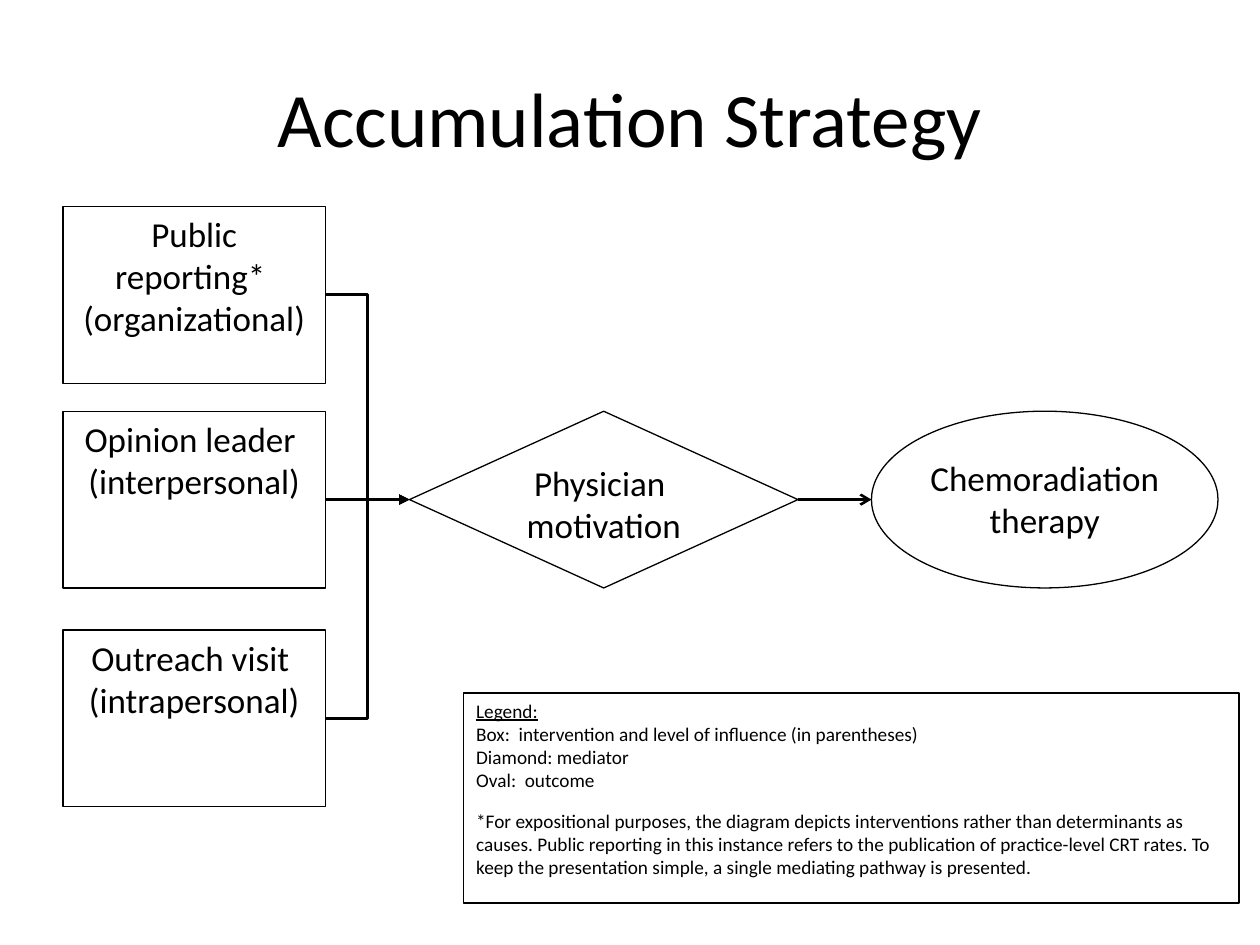
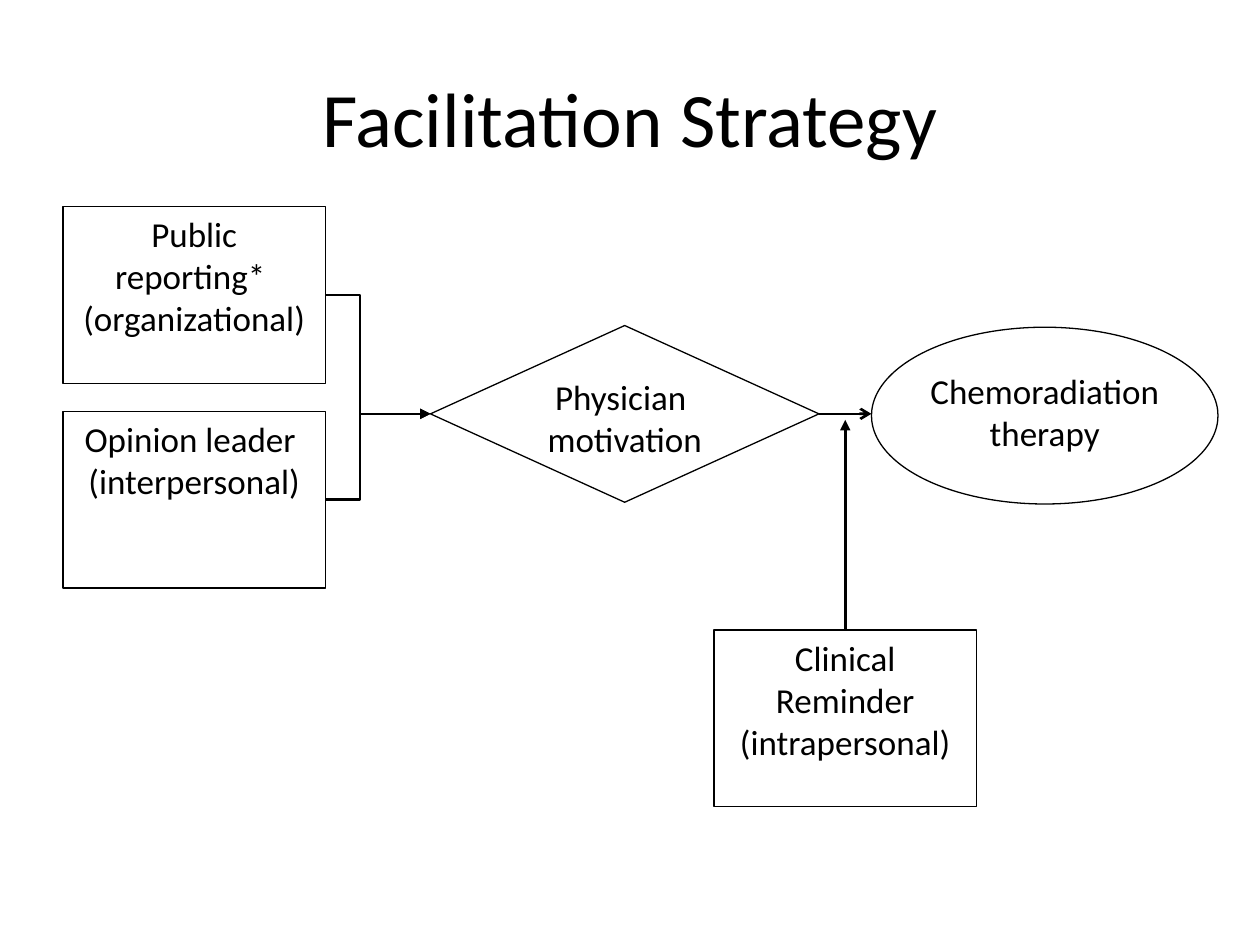
"""Build two causal diagrams of strategies that lead to chemoradiation therapy."""
from dataclasses import dataclass

from lxml.etree import SubElement
from pptx import Presentation
from pptx.dml.color import RGBColor
from pptx.enum.shapes import MSO_CONNECTOR as Link, MSO_SHAPE as Form
from pptx.enum.text import MSO_ANCHOR as Anchor, PP_ALIGN as Align
from pptx.oxml.ns import qn
from pptx.util import Pt

PUBLIC = "Public reporting* \n(organizational)"
LEADER = "Opinion leader \n(interpersonal)"
OUTREACH = "Outreach visit \n(intrapersonal)"
REMIND = "Clinical Reminder\n(intrapersonal)"
MOTIVE = "Physician \nmotivation"
THERAPY = "Chemoradiation\ntherapy"
LEGEND = [
    "Legend:\nBox:  intervention and level of influence (in parentheses)\n"
    "Diamond: mediator\nOval:  outcome",
    "*For expositional purposes, the diagram depicts interventions rather than "
    "determinants as causes. Public reporting in this instance refers to the "
    "publication of practice-level CRT rates. To keep the presentation simple, "
    "a single mediating pathway is presented.",
]
ROWS = [118, 235, 360]
SLIDES = [
    dict(title="Accumulation Strategy", causes=[PUBLIC, LEADER, OUTREACH],
         motive=(234, 235), oval=235, label=257.5, bend=0.5, legend=LEGEND),
    dict(title="Facilitation Strategy", causes=[PUBLIC, LEADER],
         motive=(246, 186), oval=187, label=207.5, bend=0.33, aid=REMIND),
]


@dataclass(frozen=True)
class Theme:
    """Colours, font, type sizes and line widths."""
    ink: RGBColor = RGBColor(0, 0, 0)
    paper: RGBColor = RGBColor(255, 255, 255)
    font: str = "Calibri"
    head: int = 44
    body: int = 20
    note: int = 11
    edge: float = 0.75
    wire: float = 1.5
    gap: int = 10


THEME = Theme()
LEFT, WIDE, HIGH = 36, 150, 101
GEM, OVAL_X, OVAL = 222, 498, 198
LABEL, LABEL_H = 156, 55
AID_X, AID_TIP = 408, 240
NOTE = (265, 396, 443, 120)


def style(para, size, align):
    """Format one paragraph and its runs."""
    para.alignment = align
    for run in para.runs:
        run.font.size = Pt(size)
        run.font.name = THEME.font
        run.font.color.rgb = THEME.ink


def node(slide, form, area, texts=(), size=THEME.body, align=Align.CENTER, edge=True):
    """Draw a white shape with top-anchored text."""
    shape = slide.shapes.add_shape(form, *map(Pt, area))
    shape.shadow.inherit = False
    shape.fill.solid()
    shape.fill.fore_color.rgb = THEME.paper
    if edge:
        shape.line.color.rgb = THEME.ink
        shape.line.width = Pt(THEME.edge)
    else:
        shape.line.fill.background()
    frame = shape.text_frame
    frame.word_wrap = True
    frame.vertical_anchor = Anchor.TOP
    for i, text in enumerate(texts):
        para = frame.add_paragraph() if i else frame.paragraphs[0]
        para.text = text
        para.space_after = Pt(THEME.gap)
        style(para, size, align)
    return shape


def arrow(slide, start, end, tip="triangle", bend=None):
    """Join two points, with an elbow where a bend is given."""
    kind = Link.STRAIGHT if bend is None else Link.ELBOW
    wire = slide.shapes.add_connector(kind, *map(Pt, start + end))
    wire.line.color.rgb = THEME.ink
    wire.line.width = Pt(THEME.wire)
    props = wire._element.spPr
    SubElement(wire.line._get_or_add_ln(), qn("a:tailEnd"), type=tip)
    SubElement(props, qn("a:effectLst"))
    if bend is not None:
        geom = props.find(qn("a:prstGeom"))
        guides = geom.find(qn("a:avLst"))
        if guides is None:
            guides = SubElement(geom, qn("a:avLst"))
        SubElement(guides, qn("a:gd"), name="adj1", fmla=f"val {round(bend * 100000)}")


def build(deck, data):
    """Lay out one strategy slide."""
    slide = deck.slides.add_slide(deck.slide_layouts[5])
    title = slide.shapes.title
    title.left, title.top, title.width, title.height = map(Pt, (36, 21.6, 648, 90))
    title.text_frame.text = data["title"]
    title.text_frame.vertical_anchor = Anchor.MIDDLE
    style(title.text_frame.paragraphs[0], THEME.head, Align.CENTER)

    x, y = data["motive"]
    mid = y + HIGH / 2
    node(slide, Form.DIAMOND, (x, y, GEM, HIGH), [MOTIVE])
    for top, cause in zip(ROWS, data["causes"]):
        node(slide, Form.RECTANGLE, (LEFT, top, WIDE, HIGH), [cause])
        arrow(slide, (LEFT + WIDE, top + HIGH / 2), (x, mid), bend=data["bend"])

    node(slide, Form.OVAL, (OVAL_X, data["oval"], OVAL, HIGH))
    label = (OVAL_X + (OVAL - LABEL) / 2, data["label"], LABEL, LABEL_H)
    node(slide, Form.RECTANGLE, label, [THERAPY], edge=False)
    arrow(slide, (x + GEM, mid), (OVAL_X, mid), "arrow", 0.5)

    if "aid" in data:
        node(slide, Form.RECTANGLE, (AID_X, ROWS[2], WIDE, HIGH), [data["aid"]])
        axis = AID_X + WIDE / 2
        arrow(slide, (axis, ROWS[2]), (axis, AID_TIP))
    if "legend" in data:
        box = node(slide, Form.RECTANGLE, NOTE, data["legend"], THEME.note, Align.LEFT)
        box.text_frame.paragraphs[0].runs[0].font.underline = True


def main():
    """Build and save the deck."""
    deck = Presentation()
    deck.slide_width, deck.slide_height = Pt(720), Pt(540)
    for data in SLIDES:
        build(deck, data)
    deck.save("out.pptx")


if __name__ == "__main__":
    main()
